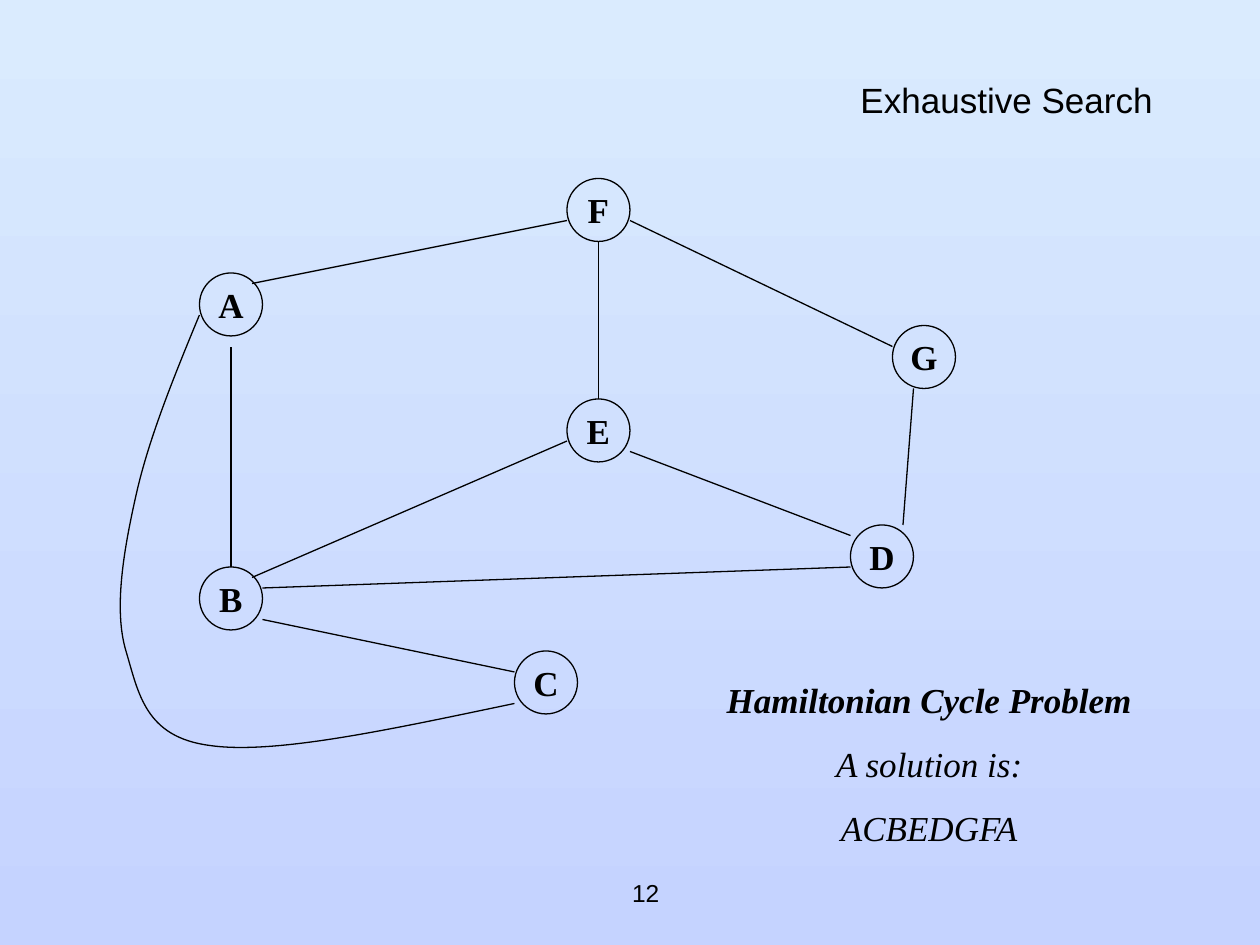
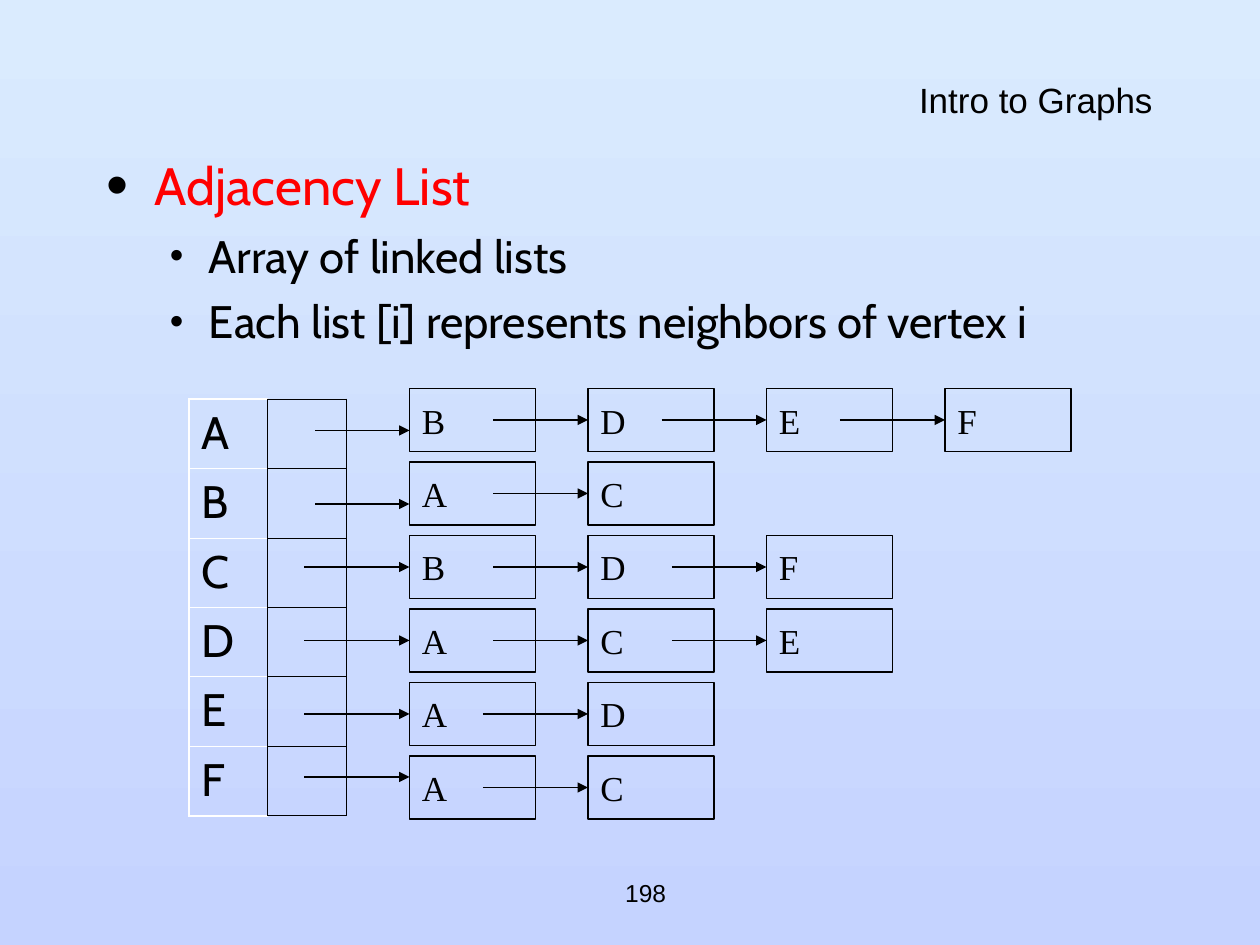
"""Build two graph theory slides: a Hamiltonian cycle and an adjacency list."""
from lxml import etree
from pptx import Presentation
from pptx import util as u
from pptx.dml.color import RGBColor
from pptx.enum import shapes, text
from pptx.oxml import ns

BLACK = RGBColor(0x00, 0x00, 0x00)
WHITE = RGBColor(0xFF, 0xFF, 0xFF)
RED = RGBColor(0xFF, 0x00, 0x00)
SKY = RGBColor(0xDA, 0xEB, 0xFE)
PERIWINKLE = RGBColor(0xC5, 0xD3, 0xFF)

COLS, ROWS = 120, 90
SANS, SERIF, BODY = "Arial", "Times New Roman", "Cabin"
LEFT, CENTER, RIGHT = text.PP_ALIGN.LEFT, text.PP_ALIGN.CENTER, text.PP_ALIGN.RIGHT
MIDDLE, TOP = text.MSO_ANCHOR.MIDDLE, text.MSO_ANCHOR.TOP
OVAL, RECT = shapes.MSO_SHAPE.OVAL, shapes.MSO_SHAPE.RECTANGLE


def put(obj, values):
    """Set each attribute of obj named in values."""
    for name, value in values.items():
        setattr(obj, name, value)


def sub(parent, tag, **attrs):
    """Append a DrawingML child with attributes to parent."""
    el = etree.SubElement(parent, ns.qn(f"a:{tag}"))
    for name, value in attrs.items():
        el.set(name, str(value))
    return el


class Deck:
    """Hold the shared style and the current slide."""

    def __init__(self):
        """Set the slide size and the gradient background."""
        self.prs = Presentation()
        put(self.prs, {"slide_width": u.Inches(10), "slide_height": u.Inches(7.5)})
        self.cw = self.prs.slide_width / COLS
        self.rh = self.prs.slide_height / ROWS
        fill = self.prs.slide_master.background.fill
        fill.gradient()
        fill.gradient_angle = 270
        for stop, color, place in zip(fill.gradient_stops, (SKY, PERIWINKLE), (0, 1)):
            stop.color.rgb = color
            stop.position = place

    def at(self, *cells):
        """Turn alternating columns and rows into lengths."""
        return [u.Emu(round(c * (self.rh if i % 2 else self.cw))) for i, c in enumerate(cells)]

    def slide(self, title, number):
        """Start a slide with its title and page number."""
        self.s = self.prs.slides.add_slide(self.prs.slide_layouts[5])
        sp = self.s.shapes.title
        put(sp, dict(zip(("left", "top", "width", "height"), self.at(9, 8, 102, 4))))
        self.fill_text(sp.text_frame, [title], SANS, 20, align=RIGHT, para={"line_spacing": 0.7})
        self.text((49, 82, 25, 6), [number], SANS, 14, anchor=MIDDLE)

    def fill_text(self, tf, lines, font, size, color=BLACK, align=CENTER, anchor=MIDDLE,
                  wrap=True, para=None, **style):
        """Fill a text frame with evenly formatted paragraphs."""
        put(tf, {"word_wrap": wrap, "vertical_anchor": anchor,
                 "auto_size": text.MSO_AUTO_SIZE.NONE})
        for i, line in enumerate(lines):
            p = tf.add_paragraph() if i else tf.paragraphs[0]
            put(p, {"alignment": align, **(para or {})})
            r = p.add_run()
            r.text = line
            put(r.font, {"name": font, "size": u.Pt(size), **style})
            r.font.color.rgb = color
        return tf

    def text(self, box, lines, font, size, **fmt):
        """Add a text box."""
        sp = self.s.shapes.add_textbox(*self.at(*box))
        return self.fill_text(sp.text_frame, lines, font, size, **fmt)

    def bullet(self, p, margin, hang, percent, before):
        """Give a paragraph a bullet with a hanging indent."""
        p.space_before = u.Pt(before)
        pr = p._p.get_or_add_pPr()
        pr.set("marL", str(u.Inches(margin)))
        pr.set("indent", str(-u.Inches(hang)))
        sub(sub(pr, "buClr"), "srgbClr", val=BLACK)
        sub(pr, "buSzPct", val=percent * 1000)
        sub(pr, "buFont", typeface=SANS)
        sub(pr, "buChar", char="•")

    def outline(self, sp):
        """Give a shape or connector the thin black line."""
        sp.line.color.rgb = BLACK
        sp.line.width = u.Pt(0.75)

    def shape(self, kind, box, label, **fmt):
        """Add a hollow labelled shape."""
        sp = self.s.shapes.add_shape(kind, *self.at(*box))
        sp.shadow.inherit = False
        sp.fill.background()
        self.outline(sp)
        self.fill_text(sp.text_frame, [label], SERIF, 20, wrap=False, **fmt)

    def line(self, *ends, arrow=False):
        """Add a straight line, with an arrowhead if asked."""
        sp = self.s.shapes.add_connector(shapes.MSO_CONNECTOR.STRAIGHT, *self.at(*ends))
        self.outline(sp)
        if arrow:
            sub(sp.line._get_or_add_ln(), "tailEnd", type="triangle", w="med", len="med")
        sub(sp._element.spPr, "effectLst")

    def curve(self, start, *points):
        """Add an open curve; each three points make one Bezier segment."""
        fb = self.s.shapes.build_freeform(*self.at(*start))
        fb.add_line_segments([self.at(*pt) for pt in points], close=False)
        sp = fb.convert_to_shape()
        sp.shadow.inherit = False
        sp.fill.background()
        self.outline(sp)
        legs = list(sp._element.iter(ns.qn("a:lnTo")))
        for i in range(0, len(legs), 3):
            bezier = etree.Element(ns.qn("a:cubicBezTo"))
            legs[i].addprevious(bezier)
            for leg in legs[i:i + 3]:
                bezier.append(leg[0])
                leg.getparent().remove(leg)

    def table(self, box, labels):
        """Add a label column beside a column of empty cells."""
        gf = self.s.shapes.add_table(len(labels), 2, *self.at(*box))
        tbl = gf.table
        put(tbl, {"first_row": False, "horz_banding": False})
        last = len(labels) - 1
        for i, label in enumerate(labels):
            name, link = tbl.cell(i, 0), tbl.cell(i, 1)
            self.fill_text(name.text_frame, [label], BODY, 26, align=LEFT, anchor=TOP,
                           para={"space_before": u.Pt(6.5)})
            self.borders(name, L=(WHITE, 1.08), R=(BLACK, 0.45),
                         T=(WHITE, 0.45 if i else 1.08), B=(WHITE, 1.08 if i == last else 0.45))
            self.borders(link, **dict.fromkeys("LRTB", (BLACK, 0.45)))

    def borders(self, cell, **sides):
        """Clear a cell's fill and draw its borders."""
        pr = cell._tc.get_or_add_tcPr()
        for side, (color, width) in sides.items():
            ln = sub(pr, f"ln{side}", w=u.Pt(width))
            sub(sub(ln, "solidFill"), "srgbClr", val=color)
        cell.fill.background()


def hamiltonian(d):
    """Draw the graph and its Hamiltonian cycle."""
    d.slide("Exhaustive Search", "12")
    nodes = {"A": (19, 26), "G": (85, 31), "F": (54, 17), "E": (54, 38),
             "C": (49, 62), "B": (19, 54), "D": (81, 50)}
    for label, place in nodes.items():
        d.shape(OVAL, (*place, 6, 6), label, bold=True)
    edges = [(22, 54, 22, 33), (25, 56, 81, 54), (57, 38, 57, 23), (60, 21, 85, 33),
             (60, 43, 81, 51), (24, 27, 54, 21), (24, 55, 54, 42), (25, 59, 49, 64),
             (86, 50, 87, 37)]
    for edge in edges:
        d.line(*edge)
    d.curve((19, 30), (16.6, 35.8), (14.2, 41.7), (13, 47),
            (11.8, 52.3), (10.8, 58), (12, 62),
            (13.2, 66), (13.8, 70.2), (20, 71),
            (26.2, 71.9), (37.5, 69.4), (49, 67))
    tf = d.text((66, 64, 45, 17.4), ["Hamiltonian Cycle Problem", "A solution is:", "ACBEDGFA"],
                SERIF, 20, anchor=TOP, para={"space_before": u.Pt(12.5)}, italic=True)
    tf.paragraphs[0].runs[0].font.bold = True


def adjacency(d):
    """Draw the array of linked lists."""
    d.slide("Intro to Graphs", "198")
    tf = d.text((9, 14, 102, 22),
                ["Adjacency List", "Array of linked lists",
                 "Each list [i] represents neighbors of vertex i"],
                BODY, 26, align=LEFT, anchor=TOP)
    head, *points = tf.paragraphs
    head.runs[0].font.size = u.Pt(30)
    head.runs[0].font.color.rgb = RED
    d.bullet(head, 0.38, 0.38, 120, 7.5)
    for p in points:
        p.level = 1
        d.bullet(p, 0.81, 0.31, 85, 6.5)
    d.table((18, 38, 15, 39.7), "ABCDEF")
    lists = [("BDEF", 41, (30, 47, 63, 80)), ("AC", 48, (30, 47)), ("BDF", 54, (29, 47, 64)),
             ("ACE", 61, (29, 47, 64)), ("AD", 68, (29, 46)), ("AC", 74, (29, 46))]
    for i, (neighbors, link_row, starts) in enumerate(lists):
        top = 37 + 7 * i
        for j, (label, start) in enumerate(zip(neighbors, starts)):
            left = 39 + 17 * j
            row = top + 3 if j else link_row
            d.shape(RECT, (left, top, 12, 6), label, align=LEFT)
            d.line(start, row, left, row, arrow=True)


def main():
    """Build and save the deck."""
    d = Deck()
    hamiltonian(d)
    adjacency(d)
    d.prs.save("out.pptx")


if __name__ == "__main__":
    main()
